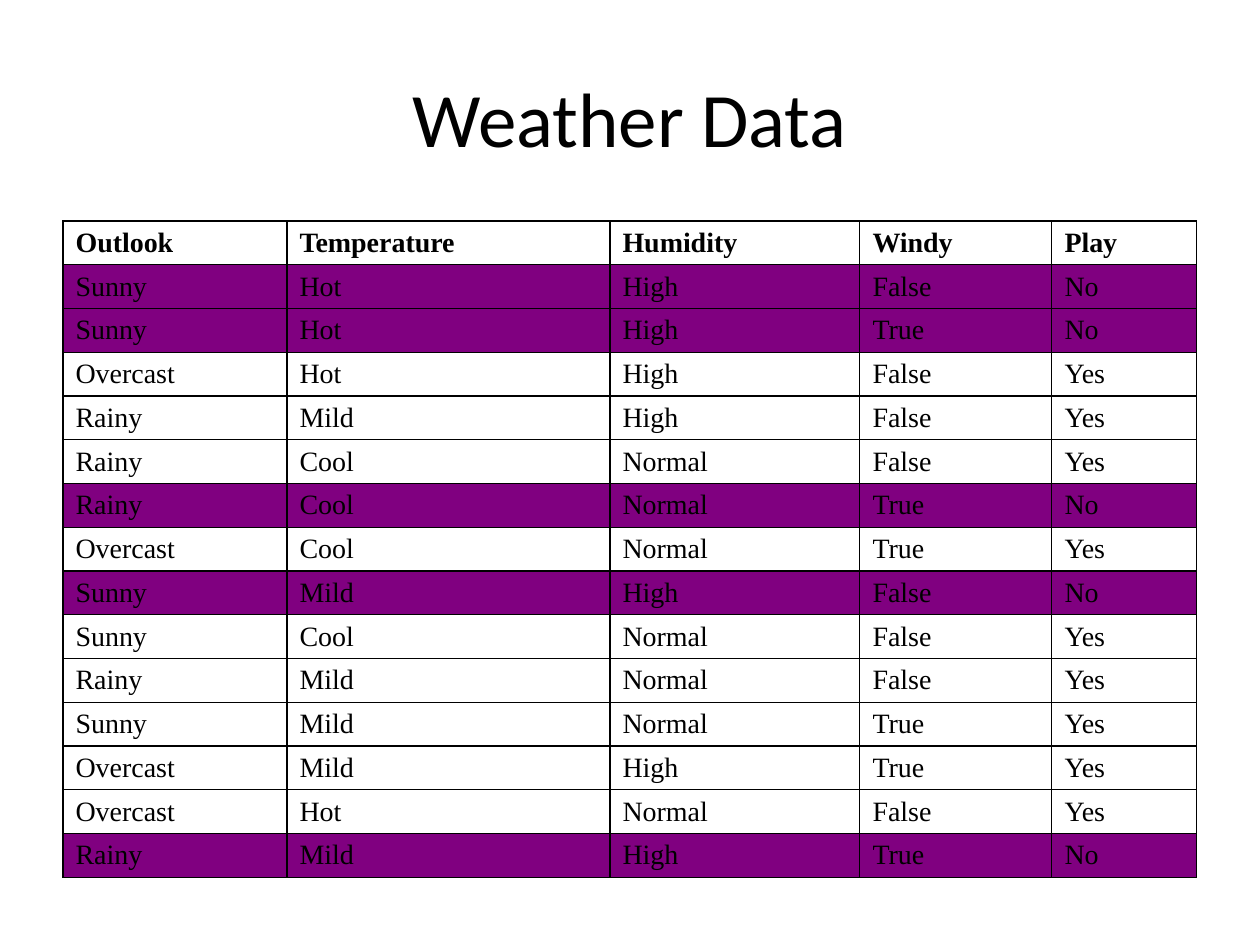
from typing import NamedTuple

from lxml import etree
from pptx import Presentation
from pptx.dml.color import RGBColor
from pptx.enum.text import MSO_ANCHOR, PP_ALIGN
from pptx.oxml.ns import qn
from pptx.util import Emu, Pt

EMU_PER_PIXEL = 914400 / 126
COLORS = {"ink": "000000", "paper": "FFFFFF", "no_play": "800080"}
BORDER_SIDES = ("lnL", "lnR", "lnT", "lnB")
COLUMN_WIDTHS = (224, 323, 250, 192, 145)
TABLE_LEFT, TABLE_TOP, TABLE_HEIGHT = 63, 221, 657
CELL_MARGIN_Y, HANGING_INDENT = 5, 48


class Day(NamedTuple):
    """One row of the weather table."""
    outlook: str
    temperature: str
    humidity: str
    windy: str
    play: str


HEADER = Day("Outlook", "Temperature", "Humidity", "Windy", "Play")
DAYS = (
    Day("Sunny", "Hot", "High", "False", "No"),
    Day("Sunny", "Hot", "High", "True", "No"),
    Day("Overcast", "Hot", "High", "False", "Yes"),
    Day("Rainy", "Mild", "High", "False", "Yes"),
    Day("Rainy", "Cool", "Normal", "False", "Yes"),
    Day("Rainy", "Cool", "Normal", "True", "No"),
    Day("Overcast", "Cool", "Normal", "True", "Yes"),
    Day("Sunny", "Mild", "High", "False", "No"),
    Day("Sunny", "Cool", "Normal", "False", "Yes"),
    Day("Rainy", "Mild", "Normal", "False", "Yes"),
    Day("Sunny", "Mild", "Normal", "True", "Yes"),
    Day("Overcast", "Mild", "High", "True", "Yes"),
    Day("Overcast", "Hot", "Normal", "False", "Yes"),
    Day("Rainy", "Mild", "High", "True", "No"),
)


def px(pixels: float) -> Emu:
    """Turn pixels into EMU."""
    return Emu(round(pixels * EMU_PER_PIXEL))


def write(paragraph, text: str, font: str, size: int, bold: bool = False) -> None:
    """Add one styled run to a paragraph."""
    run = paragraph.add_run()
    run.text = text
    run.font.name = font
    run.font.size = Pt(size)
    run.font.bold = bold
    run.font.color.rgb = RGBColor.from_string(COLORS["ink"])


def add_title(slide, text: str) -> None:
    """Add the centred slide title."""
    frame = slide.shapes.add_textbox(px(63), px(38), px(1134), px(157)).text_frame
    frame.word_wrap = True
    frame.vertical_anchor = MSO_ANCHOR.MIDDLE
    frame.paragraphs[0].alignment = PP_ALIGN.CENTER
    write(frame.paragraphs[0], text, "Calibri", 44)


def add_borders(cell) -> None:
    """Draw a thin line on each side of a cell."""
    properties = cell._tc.get_or_add_tcPr()
    for position, side in enumerate(BORDER_SIDES):
        line = etree.Element(qn(f"a:{side}"), w=str(Pt(0.75)))
        fill = etree.SubElement(line, qn("a:solidFill"))
        etree.SubElement(fill, qn("a:srgbClr"), val=COLORS["ink"])
        properties.insert(position, line)


def fill_cell(cell, text: str, bold: bool, shaded: bool) -> None:
    """Set the text, fill and borders of a cell."""
    cell.vertical_anchor = MSO_ANCHOR.MIDDLE
    cell.margin_top = cell.margin_bottom = px(CELL_MARGIN_Y)
    if shaded:
        cell.fill.solid()
        cell.fill.fore_color.rgb = RGBColor.from_string(COLORS["no_play"])
    else:
        cell.fill.background()
    add_borders(cell)
    paragraph = cell.text_frame.paragraphs[0]
    indent = paragraph._p.get_or_add_pPr()
    indent.set("marL", str(px(HANGING_INDENT)))
    indent.set("indent", str(-px(HANGING_INDENT)))
    write(paragraph, text, "Times New Roman", 16, bold)


def add_weather_table(slide) -> None:
    """Add the table, shading the days without play."""
    records = (HEADER, *DAYS)
    table = slide.shapes.add_table(
        len(records), len(COLUMN_WIDTHS), px(TABLE_LEFT), px(TABLE_TOP),
        px(sum(COLUMN_WIDTHS)), px(TABLE_HEIGHT)).table
    table.first_row = table.horz_banding = False
    for column, width in zip(table.columns, COLUMN_WIDTHS):
        column.width = px(width)
    for row, record in zip(table.rows, records):
        row.height = px(TABLE_HEIGHT / len(records))
        for cell, text in zip(row.cells, record):
            fill_cell(cell, text, record is HEADER, record.play == "No")


def main() -> None:
    """Build and save the slide."""
    deck = Presentation()
    deck.slide_width, deck.slide_height = px(1260), px(945)
    slide = deck.slides.add_slide(deck.slide_layouts[6])
    slide.background.fill.solid()
    slide.background.fill.fore_color.rgb = RGBColor.from_string(COLORS["paper"])
    add_title(slide, "Weather Data")
    add_weather_table(slide)
    deck.save("out.pptx")


main()
